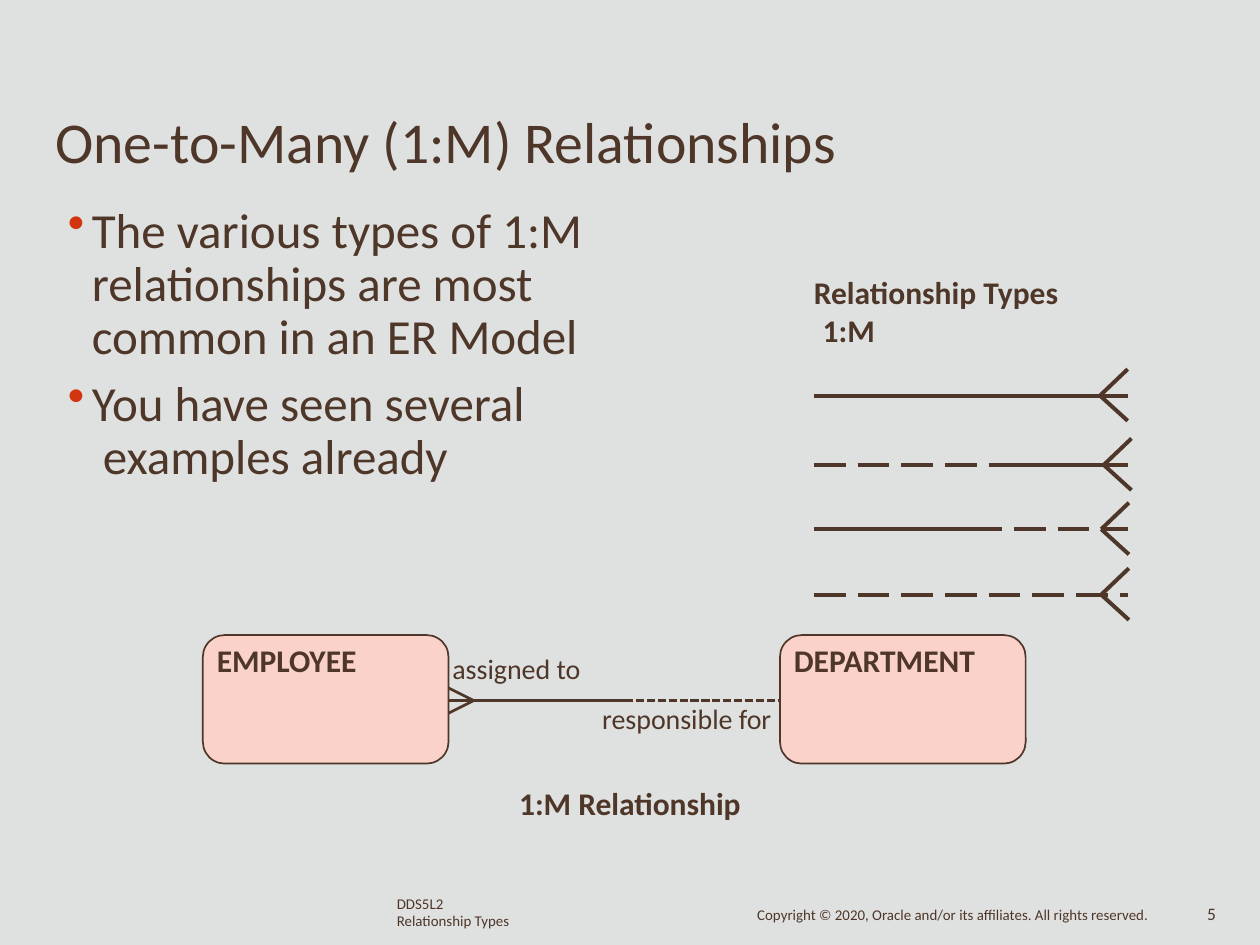
from lxml import etree
from pptx import Presentation
from pptx.dml.color import RGBColor
from pptx.enum.dml import MSO_LINE
from pptx.enum.shapes import MSO_CONNECTOR, MSO_SHAPE
from pptx.enum.text import MSO_ANCHOR, MSO_AUTO_SIZE, PP_ALIGN
from pptx.oxml.ns import qn
from pptx.util import Inches, Pt

INK = RGBColor(0x4E, 0x36, 0x29)
PAPER = RGBColor(0xDF, 0xE1, 0xE0)
PINK = RGBColor(0xFA, 0xD2, 0xC9)
RED = "D1350F"
FONT = "Calibri"
LONG, SHORT = MSO_LINE.LONG_DASH, MSO_LINE.SQUARE_DOT
LEFT, TOP = PP_ALIGN.LEFT, MSO_ANCHOR.TOP

TITLE = "One-to-Many (1:M) Relationships"
POINTS = [
    "The various types of 1:M relationships are most common in an ER Model",
    "You have seen several\v examples already",
]
LABELS = [
    (6.46, 2.17, 2.1, 0.63, 18, True, ["Relationship Types", "1:M"]),
    (3.59, 5.17, 1.2, 0.29, 16, False, ["assigned to"]),
    (4.78, 5.57, 1.4, 0.29, 16, False, ["responsible for"]),
    (4.12, 6.22, 2.03, 0.33, 18, True, ["1:M Relationship"]),
    (3.15, 7.11, 1.2, 0.28, 8.5, False, ["DDS5L2", "Relationship Types"]),
    (6.01, 7.19, 3.3, 0.16, 8.5, False,
     ["Copyright © 2020, Oracle and/or its affiliates. All rights reserved."]),
    (9.58, 7.17, 0.22, 0.17, 10, False, ["5"]),
]
START, END = 6.46, 8.95
TYPES = [
    (3.14, 8.73, [(END, None)]),
    (3.69, 8.76, [(7.88, LONG), (END, None)]),
    (4.2, 8.74, [(7.7, None), (END, LONG)]),
    (4.72, 8.74, [(END, LONG)]),
]
BOXES = [(1.61, "EMPLOYEE"), (6.19, "DEPARTMENT")]
BOX_TOP, BOX_W, BOX_H = 5.04, 1.95, 1.02
LINK_Y = 5.56


def style(frame, size, bold=False):
    frame.auto_size = MSO_AUTO_SIZE.NONE
    frame.vertical_anchor = TOP
    frame.margin_left = frame.margin_right = 0
    frame.margin_top = frame.margin_bottom = 0
    for para in frame.paragraphs:
        para.alignment = LEFT
        for run in para.runs:
            font = run.font
            font.name, font.size, font.bold = FONT, Pt(size), bold
            font.color.rgb = INK


def label(slide, x, y, w, h, size, bold, lines):
    box = slide.shapes.add_textbox(*map(Inches, (x, y, w, h)))
    frame = box.text_frame
    frame.word_wrap = True
    frame.text = "\n".join(lines)
    style(frame, size, bold)
    return frame


def line(slide, x1, y1, x2, y2, width, dash=None):
    link = slide.shapes.add_connector(
        MSO_CONNECTOR.STRAIGHT, *map(Inches, (x1, y1, x2, y2)))
    link.line.color.rgb = INK
    link.line.width = Pt(width)
    if dash:
        link.line.dash_style = dash
    etree.SubElement(link._element.spPr, qn("a:effectLst"))


def bullet(para):
    props = para._p.get_or_add_pPr()
    props.set("marL", str(Inches(0.2)))
    props.set("indent", str(-Inches(0.19)))
    tint = etree.SubElement(props, qn("a:buClr"))
    etree.SubElement(tint, qn("a:srgbClr")).set("val", RED)
    etree.SubElement(props, qn("a:buChar")).set("char", "•")


def entity(slide, x, name):
    box = slide.shapes.add_shape(
        MSO_SHAPE.ROUNDED_RECTANGLE,
        *map(Inches, (x, BOX_TOP, BOX_W, BOX_H)))
    box.adjustments[0] = 0.17
    box.shadow.inherit = False
    box.fill.solid()
    box.fill.fore_color.rgb = PINK
    box.line.color.rgb = INK
    box.line.width = Pt(0.96)
    box.text_frame.text = name
    style(box.text_frame, 18, True)
    box.text_frame.margin_left = Inches(0.06)


def main():
    deck = Presentation()
    deck.slide_width, deck.slide_height = Inches(10), Inches(7.5)
    slide = deck.slides.add_slide(deck.slide_layouts[5])
    slide.background.fill.solid()
    slide.background.fill.fore_color.rgb = PAPER

    title = slide.shapes.title
    title.left, title.top = Inches(0.44), Inches(0.84)
    title.width, title.height = Inches(6.6), Inches(0.58)
    title.text_frame.text = TITLE
    style(title.text_frame, 33)

    body = label(slide, 0.53, 1.63, 4.2, 2.2, 28, False, POINTS)
    for para in body.paragraphs:
        bullet(para)
        para.line_spacing = Pt(30.3)
    body.paragraphs[1].space_before = Pt(7.9)

    frames = [label(slide, *item) for item in LABELS]
    head, foot = frames[0], frames[4]
    head.paragraphs[1]._p.get_or_add_pPr().set("marL", str(Inches(0.07)))
    for para in foot.paragraphs:
        para.line_spacing = Pt(9.7)

    for y, tip, parts in TYPES:
        x = START
        for stop, dash in parts:
            line(slide, x, y, stop, y, 2.28, dash)
            x = stop
        for rise in (-0.21, 0.2):
            line(slide, tip, y, tip + 0.22, y + rise, 2.28)

    for x, name in BOXES:
        entity(slide, x, name)
    near, far = BOXES[0][0] + BOX_W, BOXES[1][0]
    mid = 4.96
    line(slide, near, LINK_Y, mid, LINK_Y, 1.56)
    line(slide, mid, LINK_Y, far, LINK_Y, 1.56, SHORT)
    for rise in (-0.1, 0.1):
        line(slide, near, LINK_Y + rise, near + 0.2, LINK_Y, 1.56)

    deck.save("out.pptx")


if __name__ == "__main__":
    main()
